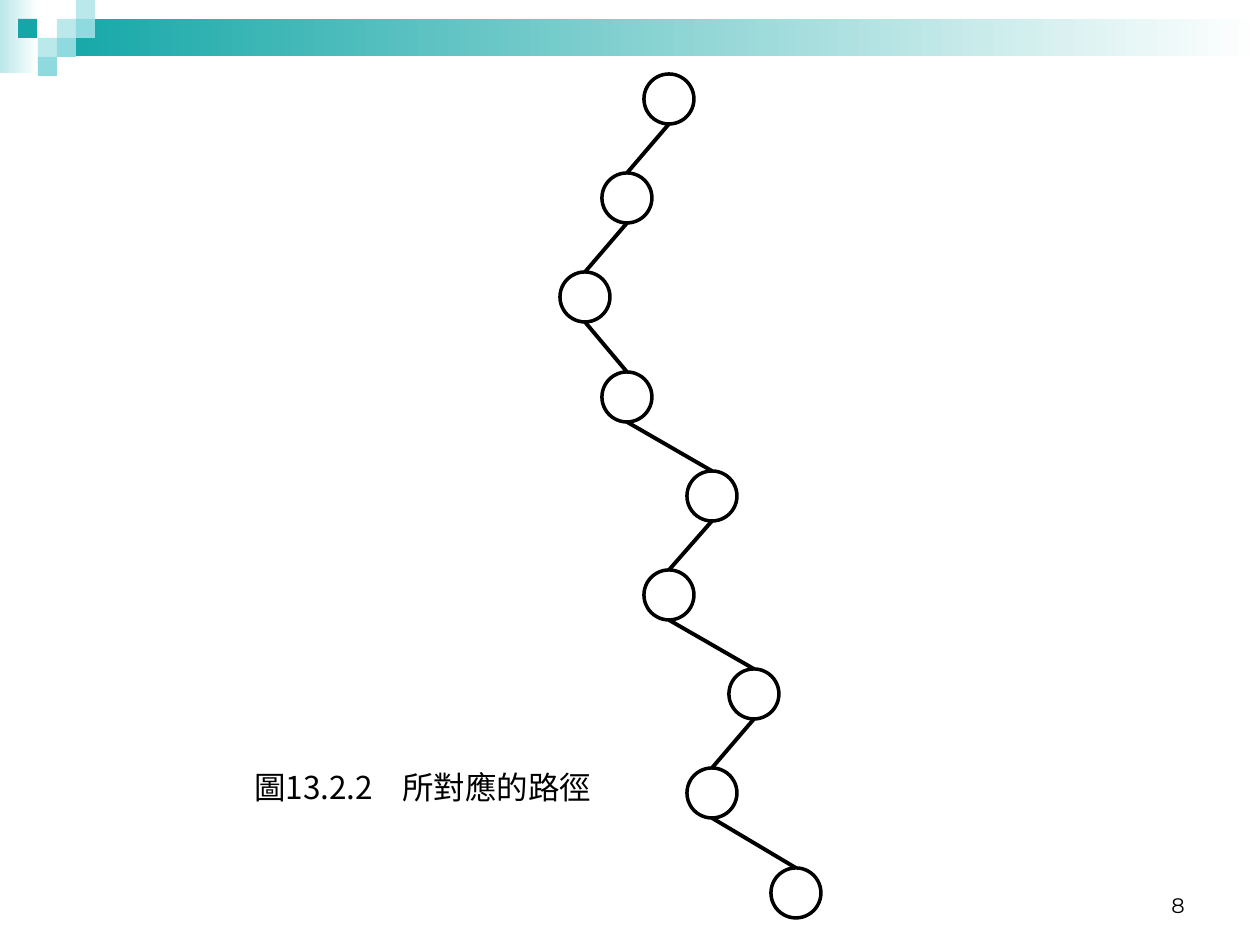
import pptx
import pptx.util
import pptx.dml.color
import pptx.enum.shapes
import pptx.enum.text
import pptx.oxml
import pptx.oxml.ns
import lxml.etree

EMU_PER_PX = 914400 // 126
SHAPE = pptx.enum.shapes.MSO_SHAPE
ALIGN = pptx.enum.text.PP_ALIGN
ANCHOR = pptx.enum.text.MSO_ANCHOR

# Content
COLORS = {"teal": "15A7A7", "mid": "8EDADE", "pale": "BBE8EB",
          "white": "FFFFFF", "black": "000000"}
CAPTION = "圖13.2.2\t所對應的路徑"
PAGE_NUMBER = "8"
PATH_COLUMNS = [2, 1, 0, 1, 3, 2, 4, 3, 5]  # column of the node on each level
FADES = [((0, 0, 39, 73), "pale"), ((57, 19, 1203, 37), "teal")]
TILES = [(57, 19, "pale"), (76, 0, "pale"), (76, 19, "mid"), (38, 38, "pale"),
         (18, 19, "teal"), (57, 38, "mid"), (38, 57, "mid")]
TILE_SIZE = 19

# Path grid
NODE_SIZE = 50
FIRST_LEFT, FIRST_TOP = 560, 74
COLUMN_STEP, LEVEL_STEP = 42.2, 99.2


def px(*lengths):
    return [pptx.util.Emu(round(length) * EMU_PER_PX) for length in lengths]


def color(name):
    return pptx.dml.color.RGBColor.from_string(COLORS[name])


def add_block(kind, box, fill):
    block = slide.shapes.add_shape(kind, *px(*box))
    block.shadow.inherit = False
    block.fill.solid()
    block.fill.fore_color.rgb = color(fill)
    block.line.fill.background()
    return block


def add_text(box, text, size, font, align, anchor, tab=None):
    frame = slide.shapes.add_textbox(*px(*box)).text_frame
    frame.word_wrap = True
    frame.vertical_anchor = anchor
    frame.text = text
    paragraph = frame.paragraphs[0]
    paragraph.alignment = align
    if tab:
        tabs = lxml.etree.SubElement(paragraph._p.get_or_add_pPr(),
                                     pptx.oxml.ns.qn("a:tabLst"))
        lxml.etree.SubElement(tabs, pptx.oxml.ns.qn("a:tab"),
                              pos=str(px(tab)[0]), algn="l")
    for run in paragraph.runs:
        run.font.size = pptx.util.Pt(size)
        run.font.name = font
        run.font.color.rgb = color("black")
        lxml.etree.SubElement(run._r.get_or_add_rPr(),
                              pptx.oxml.ns.qn("a:ea"), typeface=font)


presentation = pptx.Presentation()
presentation.slide_width, presentation.slide_height = px(1260, 945)
slide = presentation.slides.add_slide(presentation.slide_layouts[6])

# Header band and mosaic
for box, start in FADES:
    fade = add_block(SHAPE.RECTANGLE, box, start).fill
    fade.gradient()
    fade.gradient_angle = 0
    for stop, name in zip(fade.gradient_stops, (start, "white")):
        stop.color.rgb = color(name)
for left, top, name in TILES:
    add_block(SHAPE.RECTANGLE, (left, top, TILE_SIZE, TILE_SIZE), name)

# Page number
add_text((903, 861, 294, 63), PAGE_NUMBER, 12, "Montserrat",
         ALIGN.RIGHT, ANCHOR.BOTTOM)

# Path nodes
nodes = []
for level, column in enumerate(PATH_COLUMNS):
    node = add_block(SHAPE.OVAL, (FIRST_LEFT + column * COLUMN_STEP,
                                  FIRST_TOP + level * LEVEL_STEP,
                                  NODE_SIZE, NODE_SIZE), "white")
    node.line.color.rgb = color("black")
    node.line.width = pptx.util.Pt(2)
    nodes.append(node)

# Edges from the bottom of each node to the top of the next
for parent, child in zip(nodes, nodes[1:]):
    edge = slide.shapes.add_connector(
        pptx.enum.shapes.MSO_CONNECTOR.STRAIGHT,
        parent.left + parent.width // 2, parent.top + parent.height,
        child.left + child.width // 2, child.top)
    edge.end_connect(child, 0)
    edge.line.color.rgb = color("black")
    edge.line.width = pptx.util.Pt(2.25)
    lxml.etree.SubElement(edge._element.spPr, pptx.oxml.ns.qn("a:effectLst"))

# Caption
add_text((242, 762, 461, 89), CAPTION, 18, "Noto Sans CJK SC",
         ALIGN.LEFT, ANCHOR.TOP, tab=148)

presentation.save("out.pptx")
